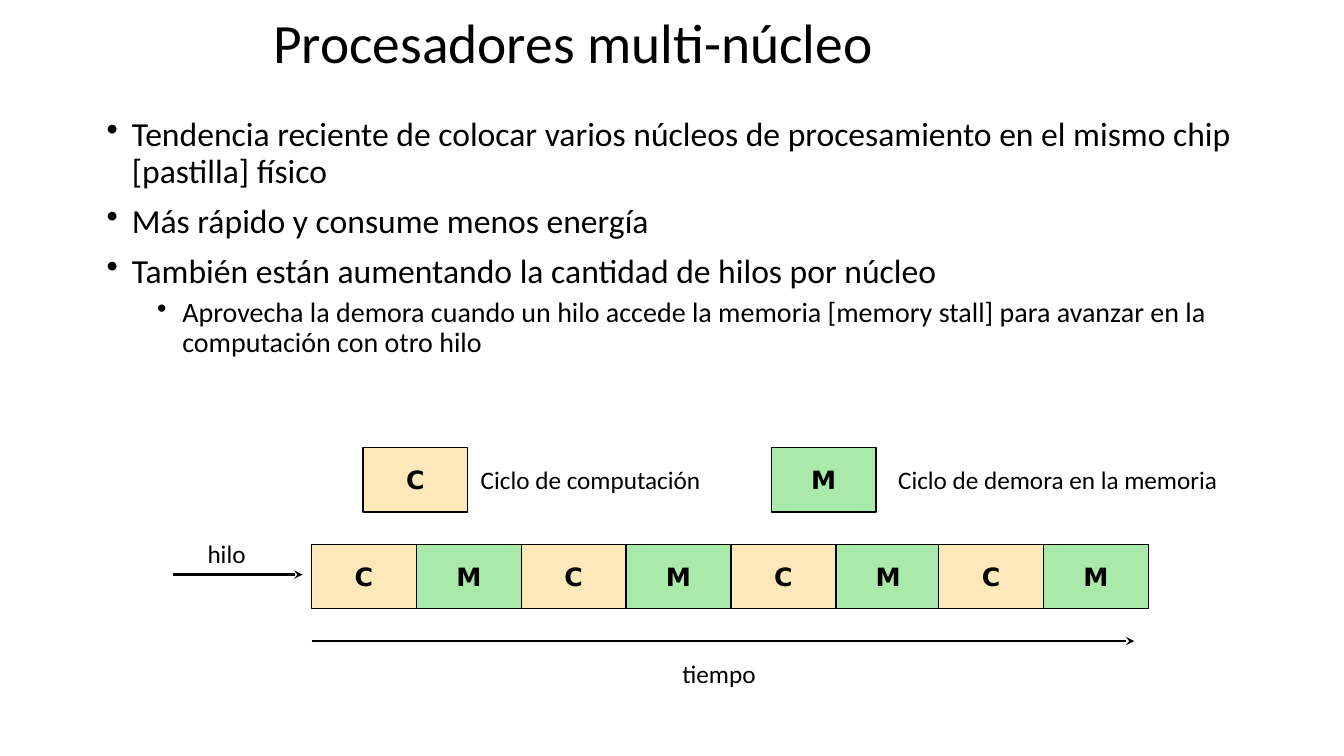
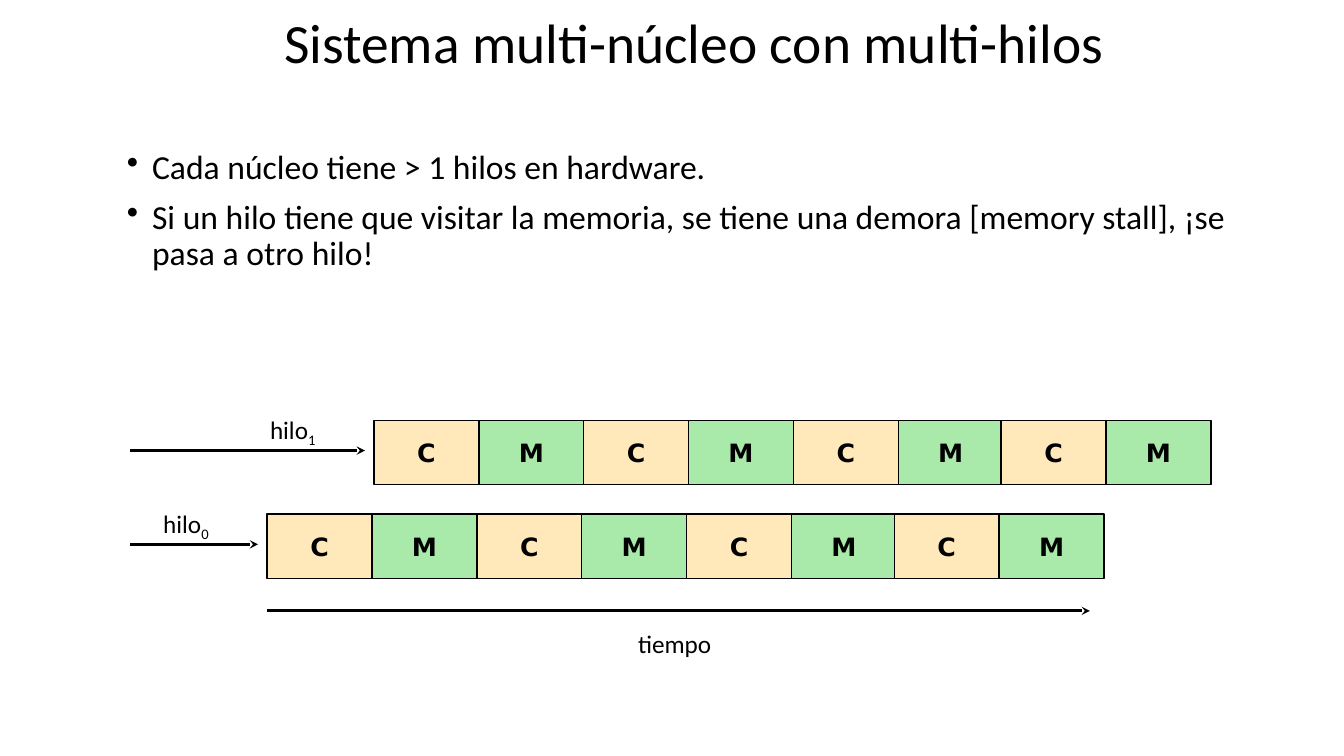
from lxml import etree
from pptx import Presentation
from pptx.dml.color import RGBColor
from pptx.enum import shapes, text
from pptx.oxml import ns
from pptx.util import Pt

PX = 9144  # EMU per px, 100 px to the inch
COLORS = {"ink": "000000", "paper": "FFFFFF", "C": "FFE8B9", "M": "A9E9A9"}
BODY_FONT, TILE_FONT = "Calibri", "DejaVu Sans"
TILE_WIDTH, TILE_HEIGHT = 104, 64
CYCLES = "CMCMCMCM"
LAST_PAIR, LAST_PAIR_OVERLAP = 6, 2


def color(name):
    return RGBColor.from_string(COLORS[name])


def add_xml(parent, tag, **attributes):
    return etree.SubElement(parent, ns.qn(tag), attributes)


def write(paragraph, content, size=18, font=BODY_FONT, bold=False,
          align=text.PP_ALIGN.LEFT, spacing=1.0, before=0, subscript=""):
    paragraph.alignment = align
    paragraph.line_spacing = spacing
    paragraph.space_before = Pt(before)
    for part in filter(None, (content, subscript)):
        run = paragraph.add_run()
        run.text = part
        run.font.size = Pt(size)
        run.font.name = font
        run.font.bold = bold
        run.font.color.rgb = color("ink")
    if subscript:
        run.font._element.set("baseline", "-25000")


class Deck:
    def __init__(self):
        self.presentation = Presentation()
        self.presentation.slide_width = 1333 * PX
        self.presentation.slide_height = 750 * PX
        self.slide = None

    def new_slide(self):
        self.slide = self.presentation.slides.add_slide(
            self.presentation.slide_layouts[6])

    def frame(self, x, y, width, height, anchor=text.MSO_ANCHOR.TOP):
        """Add a wrapping text box and return its text frame."""
        box = self.slide.shapes.add_textbox(x * PX, y * PX, width * PX, height * PX)
        box.text_frame.word_wrap = True
        box.text_frame.vertical_anchor = anchor
        return box.text_frame

    def title(self, content, x, width):
        heading = self.frame(x, 13, width, 64, text.MSO_ANCHOR.MIDDLE)
        write(heading.paragraphs[0], content, size=39.6, spacing=0.9)

    def bullets(self, items, x, y, width, height):
        """Write (level, text) items as a bulleted list."""
        body = self.frame(x, y, width, height)
        for index, (level, content) in enumerate(items):
            paragraph = body.add_paragraph() if index else body.paragraphs[0]
            paragraph.level = level
            properties = paragraph._p.get_or_add_pPr()
            properties.set("marL", str((25 + 50 * level) * PX))
            properties.set("indent", str(-25 * PX))
            add_xml(properties, "a:buChar", char="•")
            before = (5 if level else 10) if index else 0
            write(paragraph, content, size=20 if level else 24,
                  spacing=0.9, before=before)

    def label(self, content, x, y, width, subscript=""):
        write(self.frame(x, y, width, 40).paragraphs[0], content, subscript=subscript)

    def tile(self, cycle, x, y):
        tile = self.slide.shapes.add_shape(
            shapes.MSO_SHAPE.RECTANGLE, x * PX, y * PX,
            TILE_WIDTH * PX, TILE_HEIGHT * PX)
        tile.shadow.inherit = False
        tile.fill.solid()
        tile.fill.fore_color.rgb = color(cycle)
        tile.line.color.rgb = color("ink")
        tile.line.width = Pt(1)
        tile.text_frame.word_wrap = False
        tile.text_frame.vertical_anchor = text.MSO_ANCHOR.MIDDLE
        write(tile.text_frame.paragraphs[0], cycle, font=TILE_FONT,
              bold=True, align=text.PP_ALIGN.CENTER)

    def arrow(self, start, end, y):
        arrow = self.slide.shapes.add_connector(
            shapes.MSO_CONNECTOR.STRAIGHT, start * PX, y * PX, end * PX, y * PX)
        arrow.line.color.rgb = color("ink")
        arrow.line.width = Pt(2)
        add_xml(arrow.line._get_or_add_ln(), "a:tailEnd", type="stealth")
        add_xml(arrow._element.spPr, "a:effectLst")

    def thread(self, x, y, arrow_start, label_width, subscript=""):
        """Draw the cycles of one thread, with the arrow that leads to them."""
        for index, cycle in enumerate(CYCLES):
            overlap = LAST_PAIR_OVERLAP if index >= LAST_PAIR else 0
            self.tile(cycle, x + index * TILE_WIDTH - overlap, y)
        self.label("hilo", x - 113, y - 11, label_width, subscript)
        self.arrow(arrow_start, x - 9, y + 30)

    def time_axis(self, x, y):
        self.label("tiempo", x + 358, y + 12, 108)
        self.arrow(x, x + 816, y)


def multicore_slide(deck):
    deck.new_slide()
    deck.title("Procesadores multi-núcleo", 261, 855)
    deck.bullets([
        (0, "Tendencia reciente de colocar varios núcleos de procesamiento "
            "en el mismo chip [pastilla] físico"),
        (0, "Más rápido y consume menos energía"),
        (0, "También están aumentando la cantidad de hilos por núcleo"),
        (1, "Aprovecha la demora cuando un hilo accede la memoria [memory stall] "
            "para avanzar en la computación con otro hilo"),
    ], 96, 112, 1152, 260)
    deck.tile("C", 360, 444)
    deck.label("Ciclo de computación", 467, 456, 290)
    deck.tile("M", 765, 444)
    deck.label("Ciclo de demora en la memoria", 881, 456, 417)
    deck.thread(309, 540, arrow_start=172, label_width=65)
    deck.time_axis(309, 636)


def multithread_slide(deck):
    deck.new_slide()
    deck.title("Sistema multi-núcleo con multi-hilos", 272, 845)
    deck.bullets([
        (0, "Cada núcleo tiene > 1 hilos en hardware."),
        (0, "Si un hilo tiene que visitar la memoria, se tiene una demora "
            "[memory stall], ¡se pasa a otro hilo!"),
    ], 116, 144, 1134, 140)
    for subscript, x, y in (("0", 265, 510), ("1", 371, 417)):
        deck.thread(x, y, arrow_start=129, label_width=76, subscript=subscript)
    deck.time_axis(265, 606)


def main():
    deck = Deck()
    multicore_slide(deck)
    multithread_slide(deck)
    deck.presentation.save("out.pptx")


if __name__ == "__main__":
    main()
